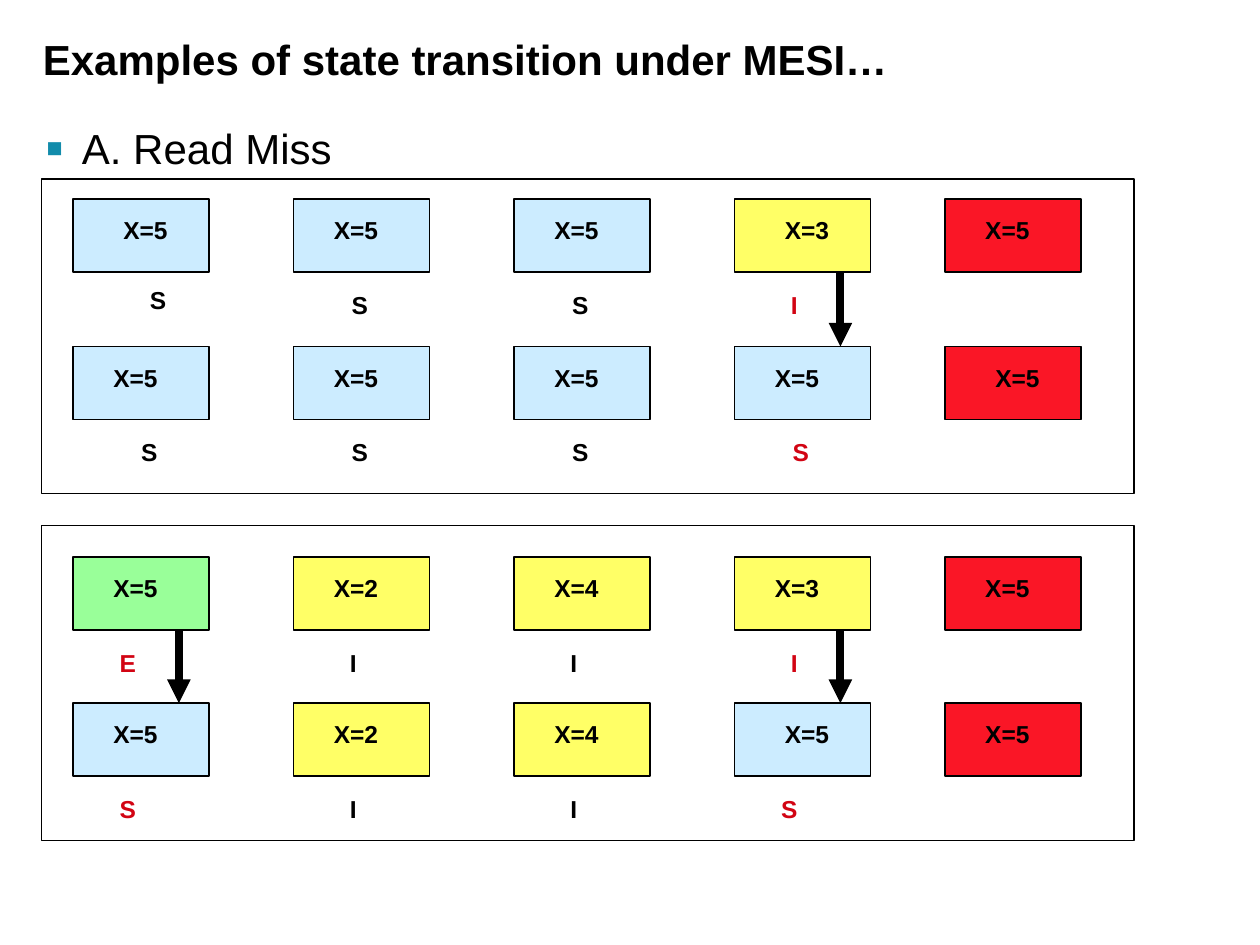
from dataclasses import dataclass

from lxml.etree import SubElement
from pptx import Presentation
from pptx.dml.color import RGBColor as RGB
from pptx.enum.shapes import MSO_CONNECTOR as Link, MSO_SHAPE as Shape
from pptx.enum.text import MSO_ANCHOR as Anchor, MSO_AUTO_SIZE as Fit, PP_ALIGN as Align
from pptx.oxml.ns import qn
from pptx.util import Inches, Pt


@dataclass(frozen=True)
class Theme:
    font: str = "Arial"
    ink: str = "000000"
    hot: str = "D20413"
    bullet: str = "128CAB"
    shared: str = "CCECFF"
    invalid: str = "FFFF66"
    exclusive: str = "99FF99"
    memory: str = "FA1626"
    head: int = 24
    label: int = 14
    edge: float = 0.75
    arrow: float = 4.5


class Deck:
    def __init__(self, theme):
        self.theme = theme
        self.prs = Presentation()
        self.prs.slide_width, self.prs.slide_height = Inches(10), Inches(7.5)
        self.slide = self.prs.slides.add_slide(self.prs.slide_layouts[1])
        self.shapes = self.slide.shapes

    def style(self, para, size, color=None, bold=False):
        font = para.font
        font.name, font.size, font.bold = self.theme.font, Pt(size), bold
        font.color.rgb = RGB.from_string(color or self.theme.ink)

    def fill_in(self, holder, text, left, top, width, height):
        """Place a placeholder, set its text and return its paragraph."""
        holder.left, holder.top = Inches(left), Inches(top)
        holder.width, holder.height = Inches(width), Inches(height)
        frame = holder.text_frame
        frame.text = text
        frame.auto_size = Fit.NONE
        para = frame.paragraphs[0]
        para.alignment = Align.LEFT
        para.space_before = Pt(0)
        return para

    def title(self, text, *place):
        holder = self.shapes.title
        para = self.fill_in(holder, text, *place)
        holder.text_frame.vertical_anchor = Anchor.MIDDLE
        holder.text_frame.word_wrap = False
        self.style(para, self.theme.head, bold=True)

    def body(self, text, *place):
        para = self.fill_in(self.slide.placeholders[1], text, *place)
        props = para._p.get_or_add_pPr()
        props.set("marL", str(Inches(0.29)))
        props.set("indent", str(Inches(-0.29)))
        color = SubElement(props, qn("a:buClr"))
        SubElement(color, qn("a:srgbClr"), val=self.theme.bullet)
        SubElement(props, qn("a:buSzPct"), val="125000")
        SubElement(props, qn("a:buFont"), typeface=self.theme.font)
        SubElement(props, qn("a:buChar"), char="▪")
        self.style(para, self.theme.head)

    def box(self, left, top, width, height, fill=None, group=None):
        home = group.shapes if group else self.shapes
        shape = home.add_shape(Shape.RECTANGLE, Inches(left), Inches(top),
                               Inches(width), Inches(height))
        shape.shadow.inherit = False
        if fill:
            shape.fill.solid()
            shape.fill.fore_color.rgb = RGB.from_string(fill)
        else:
            shape.fill.background()
        shape.line.color.rgb = RGB.from_string(self.theme.ink)
        shape.line.width = Pt(self.theme.edge)

    def label(self, text, left, top, width, color=None):
        box = self.shapes.add_textbox(Inches(left), Inches(top),
                                      Inches(width), Inches(0.4))
        frame = box.text_frame
        frame.word_wrap = False
        frame.auto_size = Fit.SHAPE_TO_FIT_TEXT
        para = frame.paragraphs[0]
        para.text = text
        para.alignment = Align.CENTER
        self.style(para, self.theme.label, color, bold=True)

    def arrow(self, x, top, end):
        line = self.shapes.add_connector(Link.STRAIGHT, Inches(x), Inches(top),
                                         Inches(x), Inches(end))
        line.line.color.rgb = RGB.from_string(self.theme.ink)
        line.line.width = Pt(self.theme.arrow)
        SubElement(line.line._get_or_add_ln(), qn("a:tailEnd"), type="triangle")
        SubElement(line._element.spPr, qn("a:effectLst"))


COLS = (0.58, 2.33, 4.08, 5.83, 7.5)
WIDTH, HEIGHT = 1.08, 0.58
# Top of the row, value and state of each cache and of memory (M), changed columns
ROWS = (
    (1.58, "5S 5S 5S 3I 5M", {3}),
    (2.75, "5S 5S 5S 5S 5M", {3}),
    (4.42, "5E 2I 4I 3I 5M", {0, 3}),
    (5.58, "5S 2I 4I 5S 5M", {0, 3}),
)
# Sideways shift of the value and state labels, by (row, column)
SHIFTS = {
    (0, 0): (0.08, 0.15), (0, 3): (0.08, 0), (1, 0): (0, 0.08),
    (1, 4): (0.08, 0), (2, 0): (0, -0.09), (3, 0): (0, -0.09),
    (3, 3): (0.08, -0.09),
}


def main():
    theme = Theme()
    fills = {"S": theme.shared, "I": theme.invalid,
             "E": theme.exclusive, "M": theme.memory}
    deck = Deck(theme)
    deck.title("Examples of state transition under MESI…", 0.24, 0.01, 9.6, 0.92)
    deck.body("A. Read Miss", 0.26, 0.92, 9.74, 5.99)
    for top in (1.42, 4.17):
        deck.box(0.33, top, 8.67, 2.5)

    for row, (top, cells, hot) in enumerate(ROWS):
        group = deck.shapes.add_group_shape()
        for col, (left, (value, state)) in enumerate(zip(COLS, cells.split())):
            deck.box(left, top, WIDTH, HEIGHT, fills[state], group)
            shift, slide = SHIFTS.get((row, col), (0, 0))
            deck.label(f"X={value}", left + 0.17 + shift, top + 0.08, 0.65)
            if state != "M":
                deck.label(state, left + 0.34 + slide,
                           top + (0.63 if row == col == 0 else 0.67),
                           0.27 if state == "I" else 0.37,
                           theme.hot if col in hot else theme.ink)

    for (top, _, hot), (end, _, _) in zip(ROWS[::2], ROWS[1::2]):
        for col in sorted(hot):
            deck.arrow(COLS[col] + 0.84, top + HEIGHT, end)
    deck.prs.save("out.pptx")


if __name__ == "__main__":
    main()
